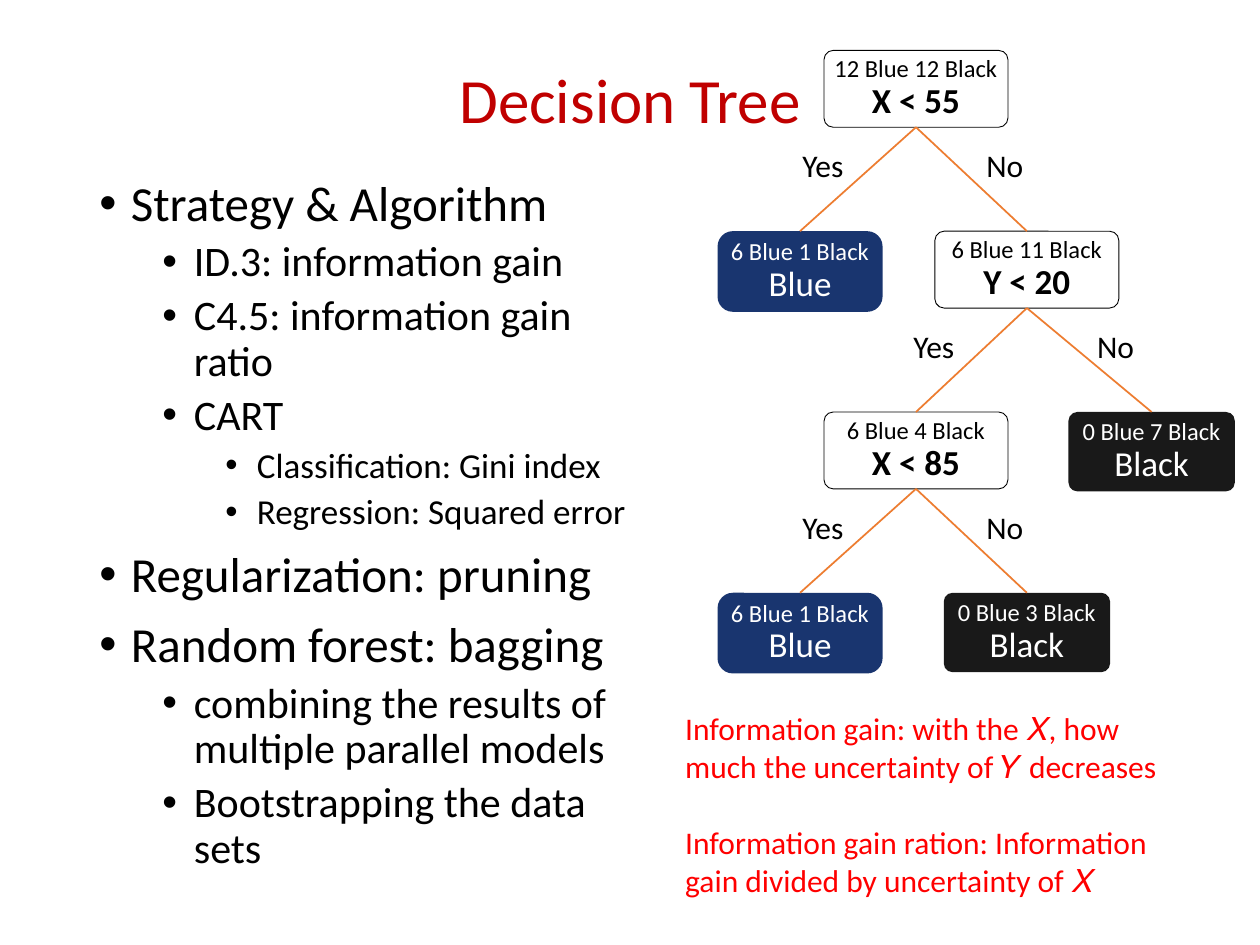
from lxml.etree import SubElement
from pptx import Presentation
from pptx.dml.color import RGBColor
from pptx.enum.shapes import MSO_CONNECTOR, MSO_SHAPE
from pptx.enum.text import MSO_ANCHOR, PP_ALIGN
from pptx.oxml.ns import qn
from pptx.util import Inches, Pt

# Content
TITLE = "Decision Tree"
OUTLINE = [  # level, text
    (0, "Strategy & Algorithm"),
    (1, "ID.3: information gain"),
    (1, "C4.5: information gain ratio"),
    (1, "CART"),
    (2, "Classification: Gini index"),
    (2, "Regression: Squared error"),
    (0, "Regularization: pruning"),
    (0, "Random forest: bagging"),
    (1, "combining the results of multiple parallel models"),
    (1, "Bootstrapping the data sets"),
]
NODES = {  # key: (column, row, kind, counts, decision)
    "root": (1, 0, "split", "12 Blue 12 Black", "X < 55"),
    "low x": (0, 1, "blue", "6 Blue 1 Black", "Blue"),
    "high x": (2, 1, "split", "6 Blue 11 Black", "Y < 20"),
    "low y": (1, 2, "split", "6 Blue 4 Black", "X < 85"),
    "high y": (3, 2, "black", "0 Blue 7 Black", "Black"),
    "mid x": (0, 3, "blue", "6 Blue 1 Black", "Blue"),
    "top x": (2, 3, "black", "0 Blue 3 Black", "Black"),
}
BRANCHES = [("root", "low x", "high x"), ("high x", "low y", "high y"),
            ("low y", "mid x", "top x")]  # parent, yes, no
NOTES = [
    "Information gain: with the 𝑋, how much the uncertainty of 𝑌 decreases",
    "Information gain ration: Information gain divided by uncertainty of 𝑋",
]

# Theme and grid
THEME = {
    "font": "Calibri", "title": "C00000", "text": "000000", "light": "FFFFFF",
    "note": "FF0000", "branch": "ED7D31",
    "title size": 36, "outline sizes": (28, 24, 20), "label size": 18,
    "count size": 14, "decision size": 20,
}
KINDS = {  # size, corner, fill, text colour
    "split": ((1.46, 0.61), 0.12, None, THEME["text"]),
    "blue": ((1.31, 0.64), 0.19, "002060", THEME["light"]),
    "black": ((1.32, 0.63), 0.11, "000000", THEME["light"]),
}
COLUMNS = (6.35, 7.27, 8.15, 9.14)  # node centres
ROW_TOP, ROW_STEP = 0.4, 1.435
LABELS = {"Yes": (-1.0, 0.55), "No": (0.46, 0.5)}  # offset from parent, width
LABEL_DROP = 0.71

prs = Presentation()
prs.slide_width, prs.slide_height = Inches(10), Inches(7.5)
slide = prs.slides.add_slide(prs.slide_layouts[6])


def apply(target, formats):
    for name, value in formats.items():
        setattr(target, name, value)


def add_run(paragraph, text, size, colour, bold=False):
    run = paragraph.add_run()
    run.text = text
    apply(run.font, {"name": THEME["font"], "size": Pt(size), "bold": bold})
    run.font.color.rgb = RGBColor.from_string(colour)


def add_text(left, top, width, height, **formats):
    frame = slide.shapes.add_textbox(*map(Inches, (left, top, width, height))).text_frame
    apply(frame, {"word_wrap": True, **formats})
    return frame


def paragraphs(frame, items):
    for index, item in enumerate(items):
        yield (frame.add_paragraph() if index else frame.paragraphs[0]), item


# Title
heading = add_text(0.69, 0.4, 8.62, 0.83, vertical_anchor=MSO_ANCHOR.MIDDLE).paragraphs[0]
apply(heading, {"alignment": PP_ALIGN.CENTER, "line_spacing": 0.9})
add_run(heading, TITLE, THEME["title size"], THEME["title"])

# Outline
outline = add_text(0.69, 1.37, 4.58, 5.91)
for paragraph, (level, text) in paragraphs(outline, OUTLINE):
    apply(paragraph, {"level": level, "line_spacing": 0.9,
                      "space_before": Pt(5 if level else 10)})
    add_run(paragraph, text, THEME["outline sizes"][level], THEME["text"])
    props = paragraph._p.get_or_add_pPr()
    props.set("marL", str(Inches(0.25 + 0.5 * level)))
    props.set("indent", str(Inches(-0.25)))
    SubElement(props, qn("a:buFont")).set("typeface", "Arial")
    SubElement(props, qn("a:buChar")).set("char", "•")

# Tree nodes
tree = {}
for key, (column, row, kind, counts, decision) in NODES.items():
    (width, height), corner, fill, colour = KINDS[kind]
    node = slide.shapes.add_shape(
        MSO_SHAPE.ROUNDED_RECTANGLE, Inches(COLUMNS[column] - width / 2),
        Inches(ROW_TOP + row * ROW_STEP), Inches(width), Inches(height))
    node.shadow.inherit = False
    node.adjustments[0] = corner
    if fill:
        node.fill.solid()
        node.fill.fore_color.rgb = RGBColor.from_string(fill)
        solid = node.fill._xPr.find(qn("a:solidFill"))
        SubElement(solid[0], qn("a:alpha")).set("val", "90000")
        node.line.fill.background()
    else:
        node.fill.background()
        node.line.color.rgb = RGBColor.from_string(THEME["text"])
        node.line.width = Pt(0.5)
    margins = {f"margin_{side}": Inches(0.08) for side in ("left", "top", "right", "bottom")}
    apply(node.text_frame, {"word_wrap": False, "vertical_anchor": MSO_ANCHOR.MIDDLE, **margins})
    caption = node.text_frame.paragraphs[0]
    apply(caption, {"alignment": PP_ALIGN.CENTER, "line_spacing": 0.9})
    add_run(caption, counts, THEME["count size"], colour)
    caption.add_line_break()
    add_run(caption, decision, THEME["decision size"], colour, bold=kind == "split")
    tree[key] = node

# Branches and their answers
for parent, *children in BRANCHES:
    column, row = NODES[parent][:2]
    for child, (answer, (offset, width)) in zip(children, LABELS.items()):
        branch = slide.shapes.add_connector(MSO_CONNECTOR.STRAIGHT, 0, 0, 0, 0)
        branch.begin_connect(tree[parent], 2)
        branch.end_connect(tree[child], 0)
        branch.line.color.rgb = RGBColor.from_string(THEME["branch"])
        branch.line.width = Pt(1)
        SubElement(branch._element.spPr, qn("a:effectLst"))
        label = add_text(COLUMNS[column] + offset, ROW_TOP + row * ROW_STEP + LABEL_DROP,
                         width, 0.4, word_wrap=False)
        add_run(label.paragraphs[0], answer, THEME["label size"], THEME["text"])

# Notes
notes = add_text(5.34, 5.58, 3.97, 1.62)
for paragraph, text in paragraphs(notes, NOTES):
    paragraph.space_after = Pt(22)
    add_run(paragraph, text, THEME["label size"], THEME["note"])

prs.save("out.pptx")
